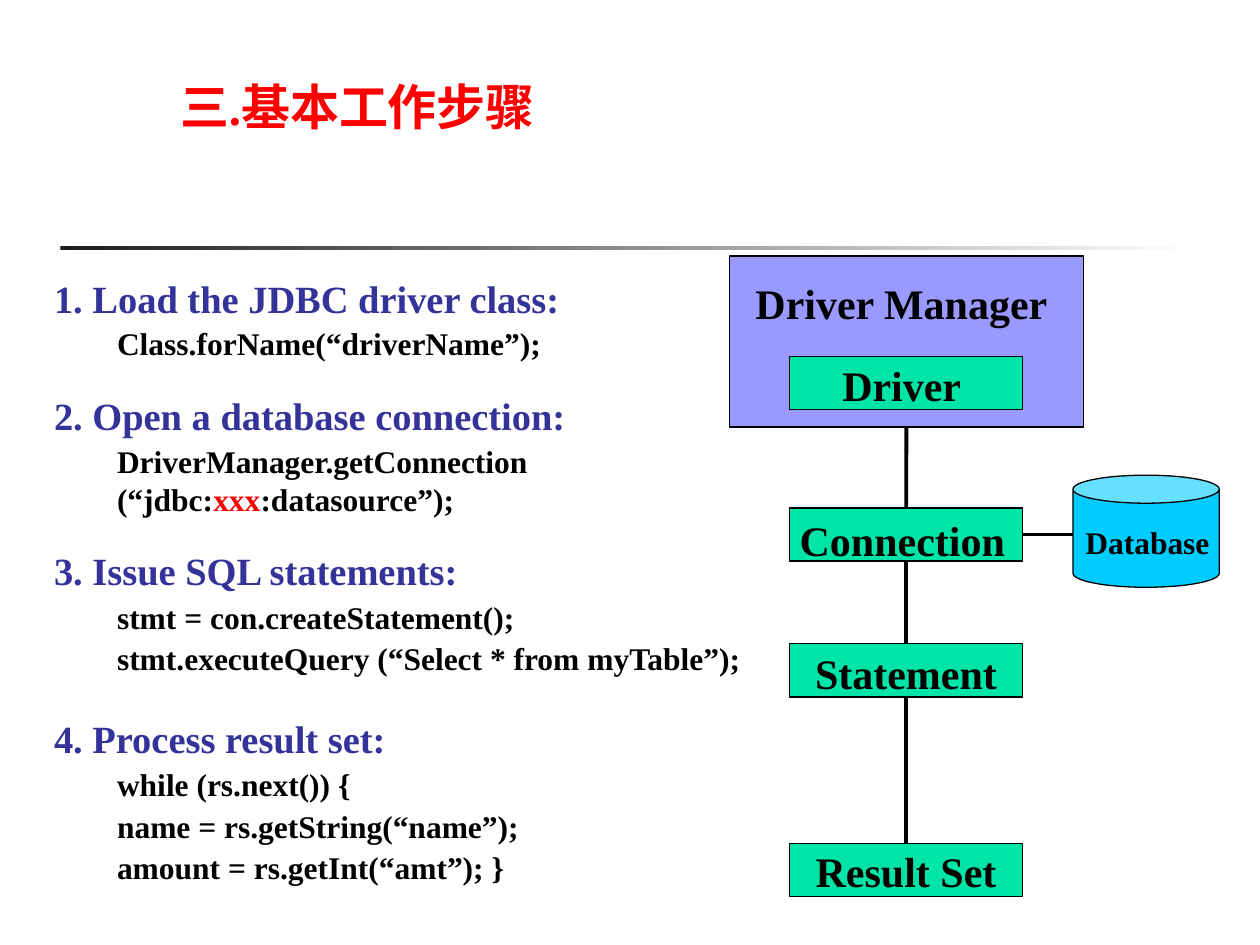
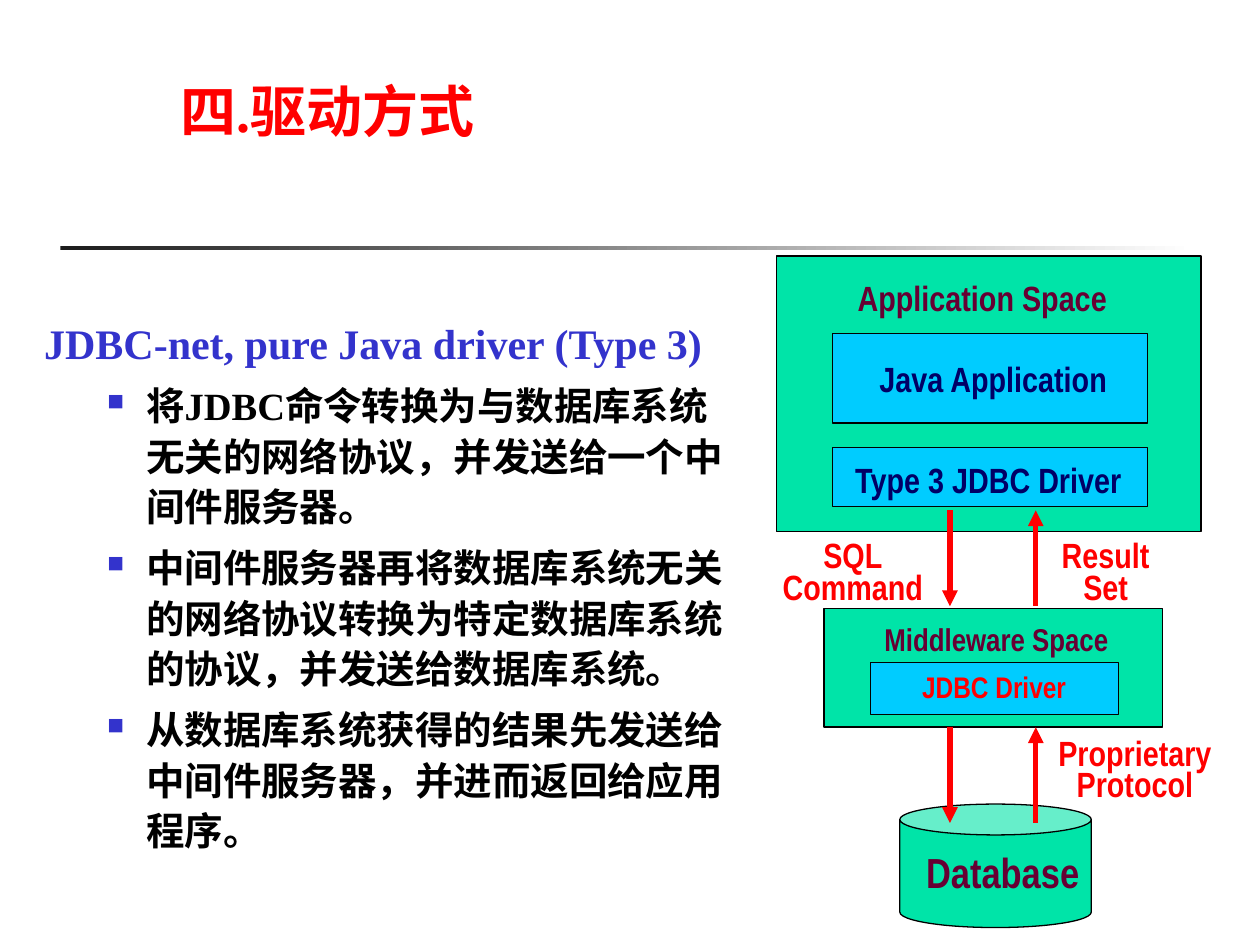
import dataclasses

import lxml.etree
import pptx
import pptx.dml.color
import pptx.enum.shapes
import pptx.enum.text
import pptx.oxml.ns
import pptx.util

Cm = pptx.util.Cm
Pt = pptx.util.Pt
Shapes = pptx.enum.shapes.MSO_SHAPE
Align = pptx.enum.text.PP_ALIGN


@dataclasses.dataclass(frozen=True)
class Theme:
    serif: str = "Times New Roman"
    narrow: str = "Arial Narrow"
    black: str = "000000"
    white: str = "FFFFFF"
    charcoal: str = "1C1C1C"
    red: str = "FF0000"
    indigo: str = "333399"
    blue: str = "3333CC"
    navy: str = "000066"
    maroon: str = "660033"
    green: str = "00E4A8"
    cyan: str = "00CCFF"
    violet: str = "9999FF"
    large: float = 24
    heading: float = 22
    label: float = 20
    small: float = 18
    tiny: float = 17
    outline: float = 0.75
    link: float = 2.25
    arrow: float = 3


THEME = Theme()


@dataclasses.dataclass(frozen=True)
class Box:
    """A rectangle in centimetres."""
    left: float
    top: float
    width: float
    height: float

    def inside(self, left, top, width, height):
        return Box(self.left + left, self.top + top, width, height)

    def lengths(self):
        return [Cm(value) for value in dataclasses.astuple(self)]


def set_all(target, values):
    for name, value in values.items():
        setattr(target, name, value)


def color(value):
    return pptx.dml.color.RGBColor.from_string(value)


# Shared drawing helpers
def add_text_box(slide, box):
    shape = slide.shapes.add_textbox(*box.lengths())
    shape.text_frame.word_wrap = True
    return shape.text_frame


def next_paragraph(frame, **formats):
    first = frame.paragraphs[0]
    paragraph = frame.add_paragraph() if first.runs else first
    set_all(paragraph, formats)
    return paragraph


def add_run(paragraph, text, size, fill, font=THEME.serif):
    run = paragraph.add_run()
    run.text = text
    set_all(run.font, {"size": Pt(size), "bold": True, "name": font})
    run.font.color.rgb = color(fill)


def add_label(slide, box, text, size, fill, font, **formats):
    frame = add_text_box(slide, box)
    for line in text.split("\n"):
        add_run(next_paragraph(frame, **formats), line, size, fill, font)


def add_block(slide, box, fill, kind=Shapes.RECTANGLE):
    shape = slide.shapes.add_shape(kind, *box.lengths())
    shape.shadow.inherit = False
    shape.fill.solid()
    shape.fill.fore_color.rgb = color(fill)
    shape.line.color.rgb = color(THEME.black)
    shape.line.width = Pt(THEME.outline)
    return shape


def add_line(slide, start, end, fill, width):
    connector = slide.shapes.add_connector(
        pptx.enum.shapes.MSO_CONNECTOR.STRAIGHT,
        *[Cm(value) for value in (*start, *end)])
    connector.line.color.rgb = color(fill)
    connector.line.width = Pt(width)
    lxml.etree.SubElement(connector._element.spPr, pptx.oxml.ns.qn("a:effectLst"))
    return connector


def add_arrow(slide, start, end):
    connector = add_line(slide, start, end, THEME.red, THEME.arrow)
    lxml.etree.SubElement(connector.line._get_or_add_ln(),
                          pptx.oxml.ns.qn("a:tailEnd"), type="triangle")


def add_bullet(paragraph):
    properties = paragraph._p.get_or_add_pPr()
    properties.set("marL", str(Cm(2.06)))
    properties.set("indent", str(Cm(-0.79)))
    bullet_color = lxml.etree.SubElement(properties, pptx.oxml.ns.qn("a:buClr"))
    lxml.etree.SubElement(bullet_color, pptx.oxml.ns.qn("a:srgbClr"), val=THEME.blue)
    lxml.etree.SubElement(properties, pptx.oxml.ns.qn("a:buSzPct"), val="60000")
    lxml.etree.SubElement(properties, pptx.oxml.ns.qn("a:buChar"), char="■")


# Title and fading rule, common to both slides
def add_titled_slide(presentation, title, size):
    slide = presentation.slides.add_slide(presentation.slide_layouts[6])
    rule = slide.shapes.add_shape(Shapes.RECTANGLE, *Box(1.22, 4.95, 22.86, 0.09).lengths())
    rule.shadow.inherit = False
    rule.line.fill.background()
    rule.fill.gradient()
    rule.fill.gradient_angle = 0
    for stop, position, fill in zip(rule.fill.gradient_stops, (0, 1),
                                    (THEME.charcoal, THEME.white)):
        stop.position = position
        stop.color.rgb = color(fill)
    frame = add_text_box(slide, Box(3.38, 1.42, 20.12, 1.5))
    add_run(next_paragraph(frame), title, size, THEME.red)
    return slide


# Numbered steps with their code lines
def add_steps(slide, box):
    exact = Pt(23.9)
    # heading, code lines, gap above, gap before code, heading and code line spacing
    steps = [
        ("1. Load the JDBC driver class:",
         ["Class.forName(“driverName”);"], 0, 2, None, None),
        ("2. Open a database connection:",
         ["DriverManager.getConnection", "(“jdbc:|xxx|:datasource”);"], 17, 2.3, None, None),
        ("3. Issue SQL statements:",
         ["stmt = con.createStatement();",
          "stmt.executeQuery (“Select * from myTable”);"], 17, 0, None, exact),
        ("4. Process result set:",
         ["while (rs.next()) {", "name = rs.getString(“name”);",
          "amount = rs.getInt(“amt”); }"], 23.9, 0, exact, exact),
    ]
    frame = add_text_box(slide, box)
    for heading, lines, gap, code_gap, heading_spacing, code_spacing in steps:
        paragraph = next_paragraph(frame, space_before=Pt(gap), line_spacing=heading_spacing)
        add_run(paragraph, heading, THEME.heading, THEME.indigo)
        for index, line in enumerate(lines):
            paragraph = next_paragraph(frame, line_spacing=code_spacing,
                                       space_before=Pt(0 if index else code_gap))
            paragraph._p.get_or_add_pPr().set("marL", str(Cm(1.27)))
            # Text between bars is highlighted
            for part, text in enumerate(line.split("|")):
                add_run(paragraph, text, THEME.small, THEME.red if part % 2 else THEME.black)


# Chain from driver manager to result set, with the database beside it
def add_object_chain(slide, box):
    node_width, node_height = 4.7, 1.07
    manager_width = 7.14
    node_left = (manager_width - node_width) / 2
    manager = add_block(slide, box.inside(0, 0, manager_width, 3.45), THEME.violet)
    add_label(slide, box.inside(0.28, 0.3, 6.8, 1.27), "Driver Manager",
              THEME.large, THEME.black, THEME.serif)

    # name, node top, label left, label top, label width, alignment
    rows = [
        ("Driver", 2.03, 2.03, 1.96, 3.05, Align.LEFT),
        ("Connection", 5.08, 1.17, 5.08, 5, Align.LEFT),
        ("Statement", 7.82, 1.14, 7.77, 4.85, Align.CENTER),
        ("Result Set", 11.84, 1.14, 11.76, 4.85, Align.CENTER),
    ]
    nodes = {}
    for name, top, label_left, label_top, label_width, alignment in rows:
        nodes[name] = add_block(
            slide, box.inside(node_left, top, node_width, node_height), THEME.green)
        add_label(slide, box.inside(label_left, label_top, label_width, 1.27), name,
                  THEME.large, THEME.black, THEME.serif, alignment=alignment)

    database = box.inside(6.93, 4.42, 2.95, 2.26)
    add_block(slide, database, THEME.cyan, Shapes.CAN)
    add_label(slide, box.inside(6.93, 5.26, 3.3, 1.02), "Database",
              THEME.small, THEME.black, THEME.serif)

    chain = [manager, nodes["Connection"], nodes["Statement"], nodes["Result Set"]]
    for upper, lower in zip(chain, chain[1:]):
        connector = add_line(slide, (0, 0), (0, 0), THEME.black, THEME.link)
        connector.begin_connect(upper, 2)
        connector.end_connect(lower, 0)
    middle = box.top + 5.08 + node_height / 2
    connector = add_line(slide, (box.left + node_left + node_width, middle),
                         (database.left, middle), THEME.black, THEME.link)
    connector.begin_connect(nodes["Connection"], 3)


# Heading and bulleted description of the driver type
def add_description(slide, box):
    frame = add_text_box(slide, box)
    add_run(next_paragraph(frame, line_spacing=1.1), "JDBC-net, pure Java driver (Type 3)",
            THEME.large, THEME.blue)
    for text in (
        "将JDBC命令转换为与数据库系统无关的网络协议，并发送给一个中间件服务器。",
        "中间件服务器再将数据库系统无关的网络协议转换为特定数据库系统的协议，并发送给数据库系统。",
        "从数据库系统获得的结果先发送给中间件服务器，并进而返回给应用程序。",
    ):
        paragraph = next_paragraph(frame)
        add_bullet(paragraph)
        set_all(paragraph, {"level": 1, "line_spacing": 1.1, "space_before": Pt(5.5)})
        add_run(paragraph, text, THEME.heading, THEME.black)


# Application, middleware and database layers
def add_layers(slide, box):
    for position, fill, kind in (
        ((0.13, 0, 8.56, 5.56), THEME.green, Shapes.RECTANGLE),
        ((1.27, 1.57, 6.35, 1.8), THEME.cyan, Shapes.RECTANGLE),
        ((1.27, 3.86, 6.35, 1.19), THEME.cyan, Shapes.RECTANGLE),
        ((1.09, 7.11, 6.83, 2.39), THEME.green, Shapes.RECTANGLE),
        ((2.03, 8.2, 5, 1.04), THEME.cyan, Shapes.RECTANGLE),
        ((2.62, 11.05, 3.86, 2.49), THEME.green, Shapes.CAN),
    ):
        add_block(slide, box.inside(*position), fill, kind)

    # Layer names, each box wide enough to stay on one line
    for text, position, size, fill in (
        ("Application Space", (1.52, 0.28, 6, 1.09), THEME.label, THEME.maroon),
        ("Java Application", (1.96, 1.93, 5.6, 1.09), THEME.label, THEME.navy),
        ("Type 3 JDBC Driver", (1.47, 3.96, 6.4, 1.09), THEME.label, THEME.navy),
        ("Middleware Space", (2.06, 7.21, 5.5, 1.02), THEME.small, THEME.maroon),
        ("JDBC Driver", (2.82, 8.2, 4, 0.97), THEME.tiny, THEME.red),
        ("Database", (2.9, 11.79, 4, 1.27), THEME.large, THEME.maroon),
    ):
        add_label(slide, box.inside(*position), text, size, fill, THEME.narrow)

    # Names of what flows between layers
    for text, position in (
        ("SQL\nCommand", (-0.2, 5.67, 3.75, 1.52)),
        ("Result\nSet", (5.42, 5.67, 2.7, 1.52)),
        ("Proprietary\nProtocol", (5.36, 9.65, 4, 1.52)),
    ):
        add_label(slide, box.inside(*position), text, THEME.label, THEME.red, THEME.narrow,
                  alignment=Align.CENTER, line_spacing=0.75)

    # Requests go down, results come back up
    down, up = box.left + 3.63, box.left + 5.36
    for offset in (5.13, 9.5):
        top = box.top + offset
        bottom = top + 1.93
        add_arrow(slide, (down, top), (down, bottom))
        add_arrow(slide, (up, bottom), (up, top))


def main():
    presentation = pptx.Presentation()
    set_all(presentation, {"slide_width": Cm(25.4), "slide_height": Cm(19.05)})

    slide = add_titled_slide(presentation, "三.基本工作步骤", 28)
    add_steps(slide, Box(0.84, 5.41, 18.14, 12.57))
    add_object_chain(slide, Box(14.7, 5.16, 10.06, 12.9))

    slide = add_titled_slide(presentation, "四.驱动方式", 32)
    add_description(slide, Box(0.64, 6.17, 14.4, 11.38))
    add_layers(slide, Box(15.52, 5.16, 9.17, 13.54))

    presentation.save("out.pptx")


if __name__ == "__main__":
    main()
